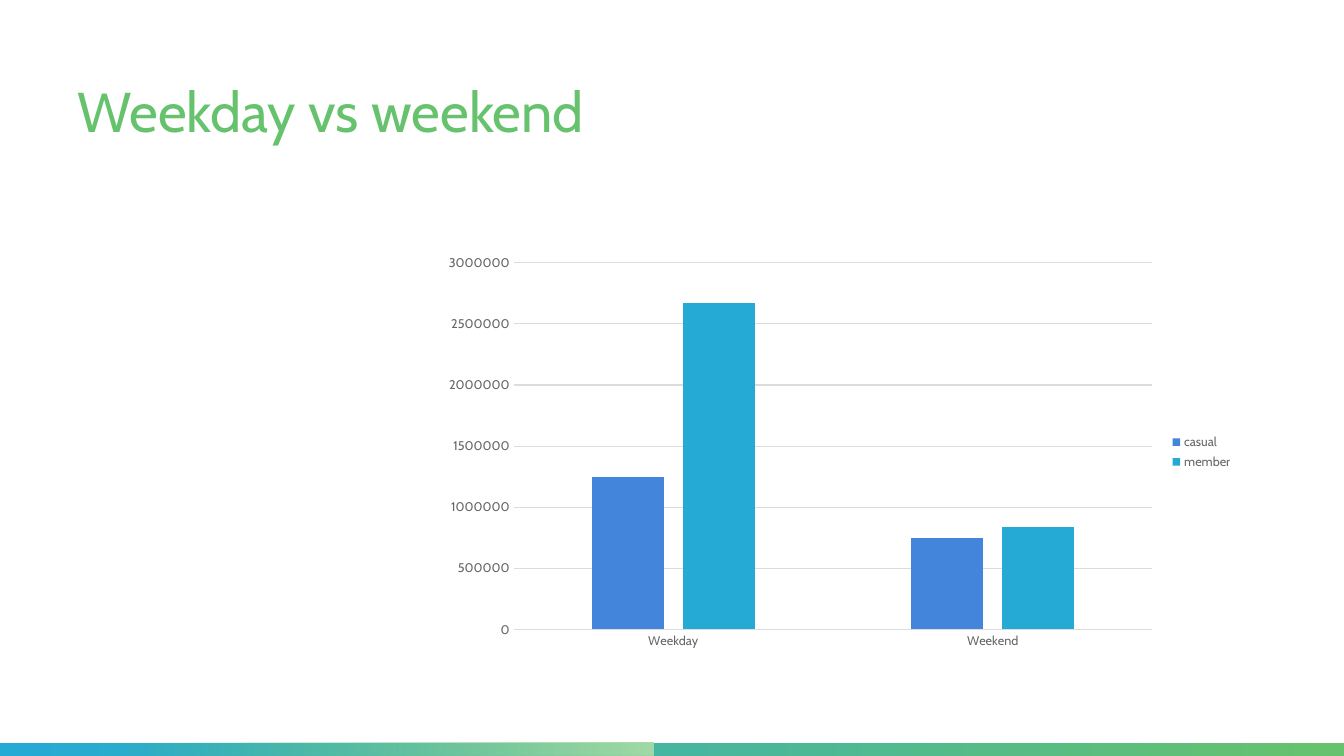
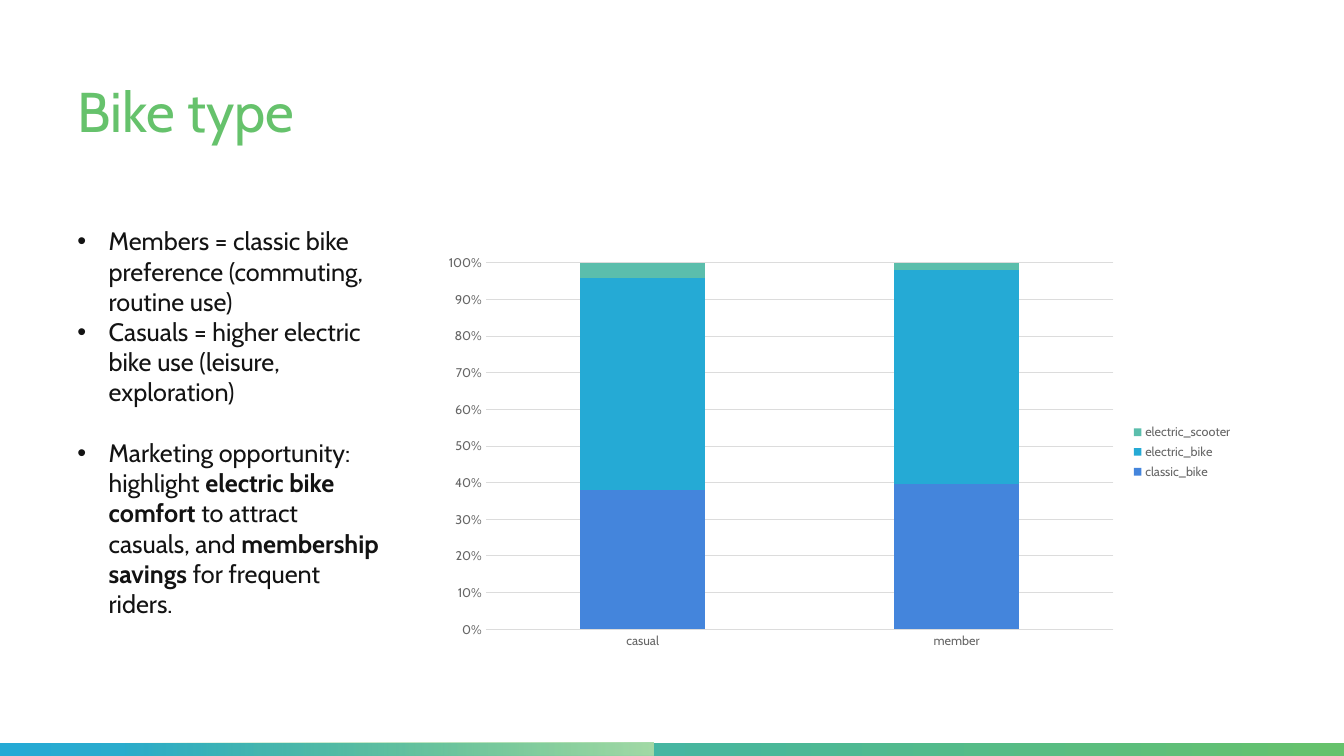
from lxml.etree import SubElement
from pptx import Presentation
from pptx.chart.data import CategoryChartData
from pptx.dml.color import RGBColor
from pptx.enum.chart import XL_CHART_TYPE as ChartType
from pptx.enum.chart import XL_LEGEND_POSITION as LegendPosition
from pptx.enum.chart import XL_TICK_MARK as TickMark
from pptx.enum.shapes import MSO_SHAPE as ShapeKind
from pptx.enum.text import MSO_ANCHOR as Anchor
from pptx.enum.text import MSO_AUTO_SIZE as AutoSize
from pptx.enum.text import PP_ALIGN as Align
from pptx.oxml.ns import qn
from pptx.util import Cm, Pt

FONT = "Cabin"
COLORS = {
    "green": "66C26C",
    "light_green": "A3DAA7",
    "blue": "4485DC",
    "cyan": "25AAD5",
    "teal": "5BBEAC",
    "text": "131313",
    "label": "666666",
    "grid": "DCDCDC",
}
SERIES_COLORS = ["blue", "cyan", "teal"]
MARGIN = Cm(1.7)
BAND_HEIGHT = Cm(0.33)
BULLET_INDENT = Cm(0.79)

SLIDES = [
    {
        "title": "Weekday vs weekend",
        "type": ChartType.COLUMN_CLUSTERED,
        "categories": ["Weekday", "Weekend"],
        "series": {"casual": [1250000, 750000], "member": [2670000, 840000]},
        "gap": 219,
        "overlap": -27,
        "format": "General",
        "bullets": [],
    },
    {
        "title": "Bike type",
        "type": ChartType.COLUMN_STACKED_100,
        "categories": ["casual", "member"],
        "series": {
            "classic_bike": [38, 40],
            "electric_bike": [58, 59],
            "electric_scooter": [4, 2],
        },
        "gap": 150,
        "overlap": 100,
        "format": "0%",
        "bullets": [
            (0, ["Members = classic bike preference (commuting, routine use)"]),
            (0, ["Casuals = higher electric bike use (leisure, exploration)"]),
            (21.6, [
                "Marketing opportunity: highlight ",
                "electric bike comfort",
                " to attract casuals, and ",
                "membership savings",
                " for frequent riders.",
            ]),
        ],
    },
]


def color(name):
    return RGBColor.from_string(COLORS[name])


def style_font(font, size, name):
    font.name = FONT
    font.size = Pt(size)
    font.color.rgb = color(name)


presentation = Presentation()
presentation.slide_width = Cm(33.87)
presentation.slide_height = Cm(19.05)
layout = presentation.slide_layouts[5]
slides = [presentation.slides.add_slide(layout) for _ in SLIDES]

bands = [
    (presentation.slide_width, ["cyan", "green"], 0),
    (Cm(16.48), ["green", "light_green"], 0.19),
]
for width, names, start in bands:
    band = slides[0].shapes.add_shape(
        ShapeKind.RECTANGLE, 0, presentation.slide_height - BAND_HEIGHT, width, BAND_HEIGHT
    )
    band.shadow.inherit = False
    band.line.fill.background()
    band.fill.gradient()
    band.fill.gradient_angle = 0
    for stop, name in zip(band.fill.gradient_stops, names):
        stop.color.rgb = color(name)
    band.fill.gradient_stops[0].position = start
    if start:
        first_color = next(band.element.iter(qn("a:srgbClr")))
        SubElement(first_color, qn("a:alpha")).set("val", "0")
    layout.shapes.element.append(band.element)

for slide, content in zip(slides, SLIDES):
    title = slide.shapes.title
    title.left, title.top, title.width, title.height = MARGIN, Cm(2), Cm(20.04), Cm(3.56)
    title.text_frame.text = content["title"]
    title.text_frame.auto_size = AutoSize.NONE
    title.text_frame.vertical_anchor = Anchor.TOP
    paragraph = title.text_frame.paragraphs[0]
    paragraph.alignment = Align.LEFT
    paragraph.line_spacing = 0.9
    style_font(paragraph.runs[0].font, 40, "green")

    chart_data = CategoryChartData()
    chart_data.categories = content["categories"]
    for name, values in content["series"].items():
        chart_data.add_series(name, values)
    chart = slide.shapes.add_chart(
        content["type"], Cm(10.9), Cm(6.22), Cm(20.42), Cm(10.34), chart_data
    ).chart
    chart.has_title = False
    style_font(chart.font, 10, "text")
    chart.has_legend = True
    chart.legend.position = LegendPosition.RIGHT
    chart.legend.include_in_layout = False
    style_font(chart.legend.font, 9, "label")

    plot = chart.plots[0]
    plot.gap_width = content["gap"]
    plot.overlap = content["overlap"]
    plot.vary_by_categories = False
    for series, name in zip(plot.series, SERIES_COLORS):
        series.format.fill.solid()
        series.format.fill.fore_color.rgb = color(name)

    for axis in (chart.category_axis, chart.value_axis):
        axis.major_tick_mark = axis.minor_tick_mark = TickMark.NONE
        style_font(axis.tick_labels.font, 9, "label")
    chart.value_axis.tick_labels.number_format = content["format"]
    chart.value_axis.tick_labels.number_format_is_linked = False
    chart.value_axis.format.line.fill.background()
    for line in (chart.category_axis.format.line, chart.value_axis.major_gridlines.format.line):
        line.color.rgb = color("grid")
        line.width = Pt(0.75)

    if content["bullets"]:
        text_box = slide.shapes.add_textbox(MARGIN, Cm(5.56), Cm(8.23), Cm(11.02))
        text_frame = text_box.text_frame
        text_frame.word_wrap = True
        for index, (space, parts) in enumerate(content["bullets"]):
            paragraph = text_frame.add_paragraph() if index else text_frame.paragraphs[0]
            properties = paragraph._p.get_or_add_pPr()
            properties.set("marL", str(BULLET_INDENT))
            properties.set("indent", str(-BULLET_INDENT))
            SubElement(properties, qn("a:buFont")).set("typeface", "Arial")
            SubElement(properties, qn("a:buChar")).set("char", "•")
            if space:
                paragraph.space_before = Pt(space)
            for position, text in enumerate(parts):
                run = paragraph.add_run()
                run.text = text
                style_font(run.font, 18, "text")
                run.font.bold = position % 2 == 1

presentation.save("out.pptx")
